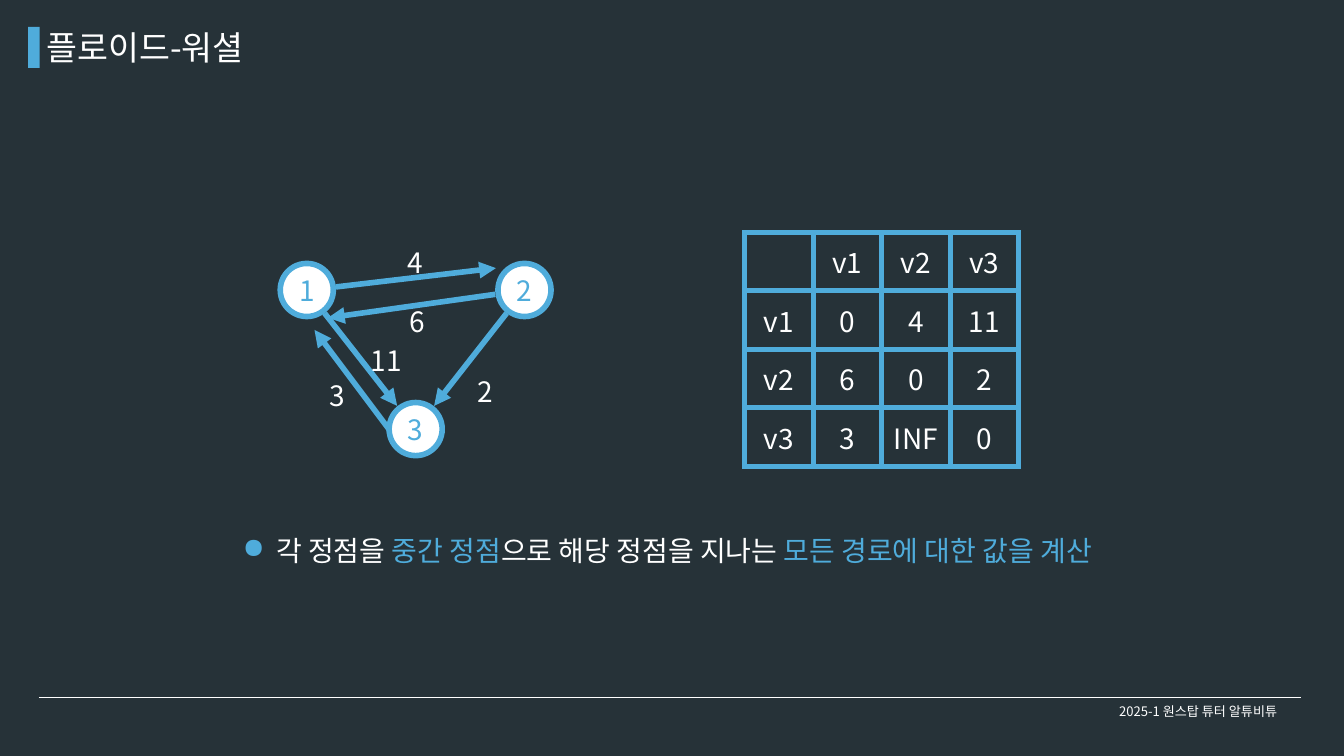
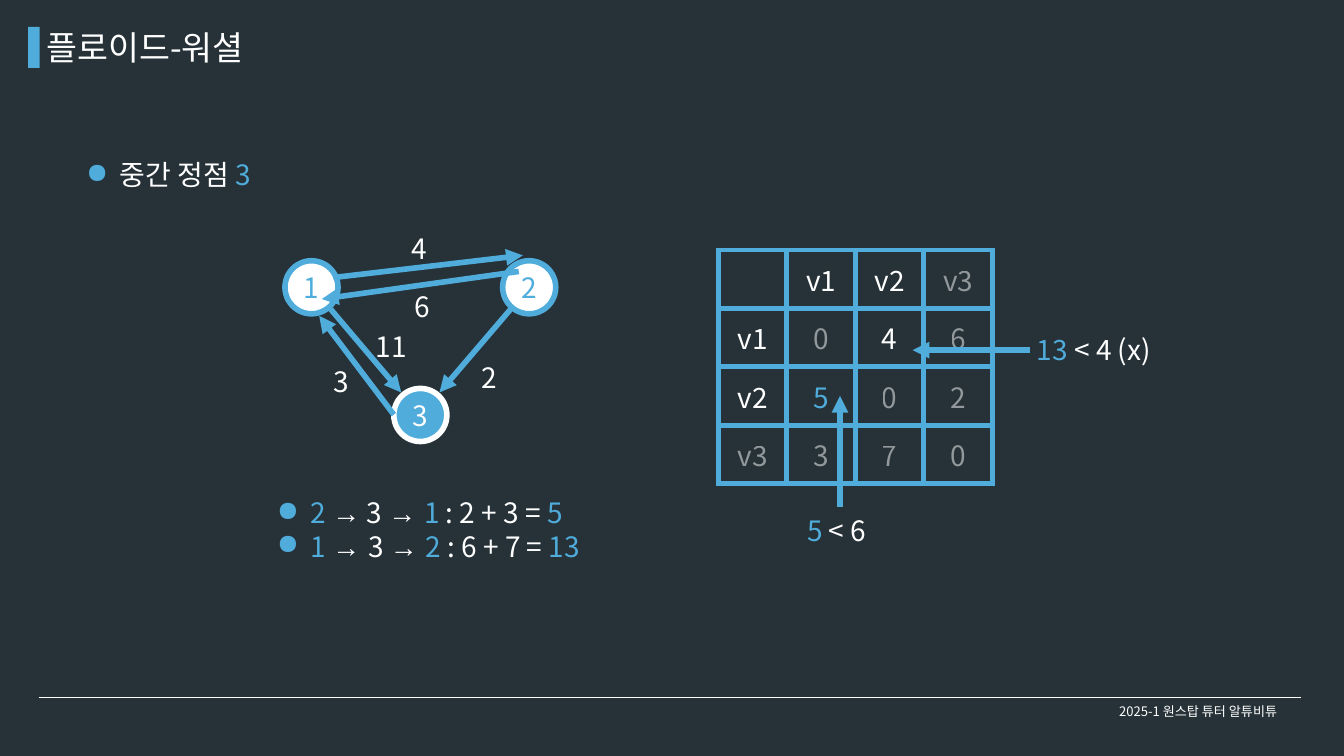
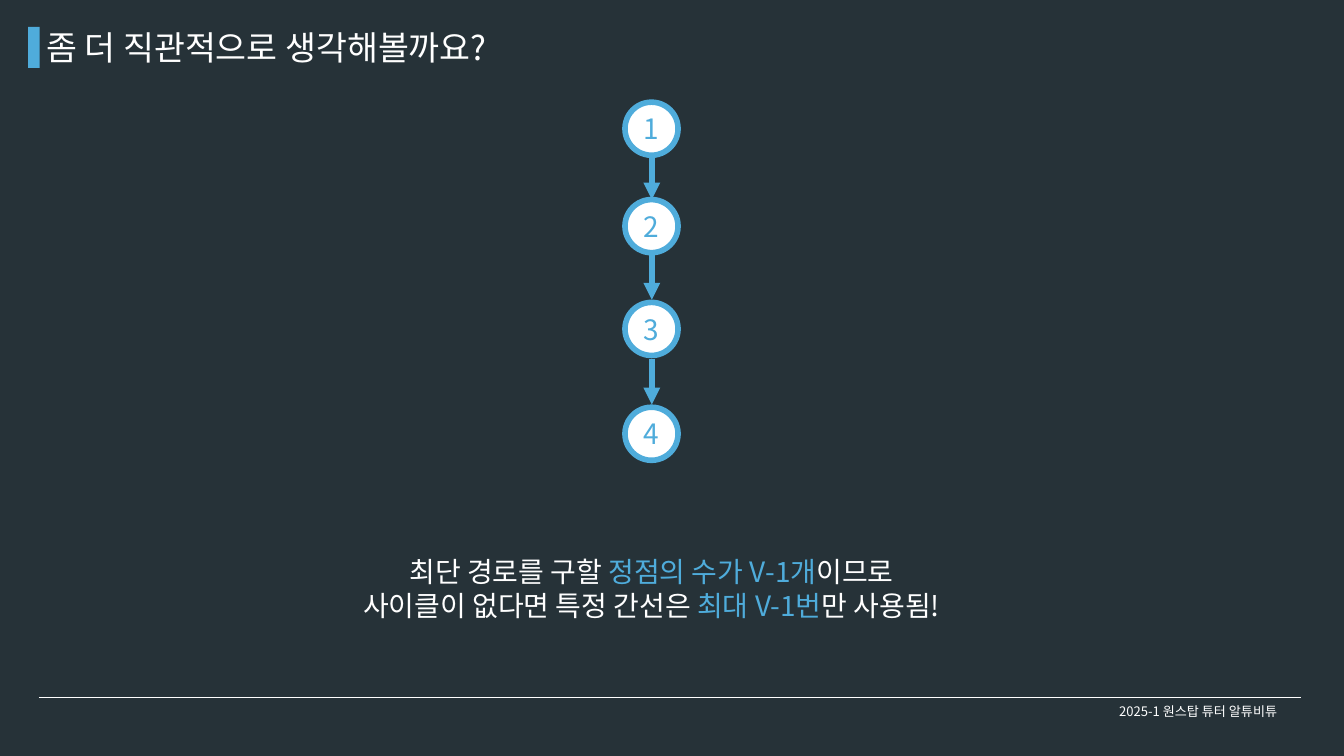
from lxml import etree
from pptx import Presentation
from pptx.dml.color import RGBColor
from pptx.enum.shapes import MSO_CONNECTOR, MSO_SHAPE
from pptx.enum.text import MSO_ANCHOR, MSO_AUTO_SIZE, PP_ALIGN
from pptx.oxml.ns import qn
from pptx.util import Inches, Pt

LEFT, CENTER = PP_ALIGN.LEFT, PP_ALIGN.CENTER
MIDDLE = MSO_ANCHOR.MIDDLE
DARK = RGBColor(0x26, 0x32, 0x38)
BLUE = RGBColor(0x4F, 0xAC, 0xDB)
WHITE = RGBColor(0xFF, 0xFF, 0xFF)
FADED = "faded"  # half-transparent white
FONT, ARROW_FONT = "Noto Sans CJK KR", "Arial"
STROKE = Pt(6)
INSET = Inches(0.05)
NODE_SIZE = 0.79
CELL_WIDTH, CELL_HEIGHT = 1.02, 0.87


def write_text(frame, lines, size=30, align=LEFT, bullet=False):
    """Fill a frame with lines, each a list of (text, colour) parts."""
    frame.margin_left = frame.margin_right = INSET
    frame.margin_top = frame.margin_bottom = INSET
    for index, parts in enumerate(lines):
        paragraph = frame.add_paragraph() if index else frame.paragraphs[0]
        paragraph.alignment = align
        properties = paragraph._p.get_or_add_pPr()
        if bullet:
            properties.set("marL", str(Inches(0.5)))
            properties.set("indent", str(-Inches(0.5)))
            color = etree.SubElement(properties, qn("a:buClr"))
            etree.SubElement(color, qn("a:srgbClr"), val=str(BLUE))
            etree.SubElement(properties, qn("a:buChar"), char="●")
        paragraph.font.size = Pt(size)
        paragraph.font.name = FONT
        etree.SubElement(properties.find(qn("a:defRPr")), qn("a:ea"), typeface=FONT)
        for text, color in parts:
            run = paragraph.add_run()
            run.text = text
            run.font.color.rgb = WHITE if color == FADED else color
            run_properties = run._r.get_or_add_rPr()
            if color == FADED:
                solid = run_properties.find(".//" + qn("a:srgbClr"))
                etree.SubElement(solid, qn("a:alpha"), val="50000")
            if "→" in text:
                run.font.name = ARROW_FONT
                etree.SubElement(run_properties, qn("a:ea"), typeface=ARROW_FONT)


def add_line(slide, start, end, color=BLUE, width=STROKE, arrow=True):
    points = [Inches(value) for value in (*start, *end)]
    connector = slide.shapes.add_connector(MSO_CONNECTOR.STRAIGHT, *points)
    connector.line.color.rgb = color
    connector.line.width = width
    if arrow:
        etree.SubElement(connector.line._get_or_add_ln(), qn("a:tailEnd"), type="triangle")
    etree.SubElement(connector._element.spPr, qn("a:effectLst"))
    return connector


# Each node: label, left, top, highlighted. Each edge: start, end.
# Each label: text, left, top. Each text: box, lines, alignment, bullet.
SLIDES = [
    {
        "title": "플로이드-워셜",
        "table": (11.08, 3.46, ["- v1 v2 v3", "v1 0 4 11", "v2 6 0 2", "v3 3 INF 0"]),
        "bright": None,
        "nodes": [("1", 4.17, 3.92, False), ("2", 7.41, 3.92, False), ("3", 5.79, 5.99, False)],
        "edges": [
            ((5, 4.27), (7.38, 3.99)),
            ((4.83, 4.66), (5.91, 6.04)),
            ((7.54, 4.66), (6.46, 6.04)),
            ((7.37, 4.38), (4.88, 4.73)),
            ((5.79, 6.39), (4.68, 4.91)),
        ],
        "labels": [("4", 6.01, 3.6), ("6", 6.05, 4.48), ("11", 5.47, 5.07),
                   ("3", 4.85, 5.59), ("2", 7.05, 5.53)],
        "texts": [
            ((3.56, 7.89, 13.07, 0.57),
             [[("각 정점을 ", WHITE), ("중간 정점", BLUE), ("으로 해당 정점을 지나는 ", WHITE),
               ("모든 경로에 대한 값을 계산", BLUE)]], LEFT, True),
        ],
    },
    {
        "title": "플로이드-워셜",
        "table": (10.69, 3.72, ["- v1 v2 v3", "v1 0 4 6", "v2 5 0 2", "v3 3 7 0"]),
        "bright": {(0, 1): WHITE, (0, 2): WHITE, (1, 0): WHITE,
                   (1, 2): WHITE, (2, 0): WHITE, (2, 1): BLUE},
        "nodes": [("1", 4.24, 3.88, False), ("2", 7.48, 3.88, False), ("3", 5.86, 5.78, True)],
        "edges": [
            ((12.5, 7.54), (12.5, 5.89)),
            ((4.92, 4.6), (5.97, 5.84)),
            ((7.6, 4.6), (6.54, 5.84)),
            ((5.86, 6.17), (4.75, 4.7)),
            ((15.33, 5.21), (13.58, 5.21)),
            ((4.96, 4.13), (7.78, 3.8)),
            ((7.72, 4.04), (4.79, 4.45)),
        ],
        "labels": [("4", 6.08, 3.39), ("6", 6.12, 4.26), ("11", 5.54, 4.85),
                   ("3", 4.92, 5.38), ("2", 7.12, 5.32)],
        "texts": [
            ((11.96, 7.6, 1.09, 0.57), [[("5 ", BLUE), ("< 6", WHITE)]], LEFT, False),
            ((4.07, 7.33, 5.72, 1.07),
             [[("2 ", BLUE), ("→", WHITE), (" 3 ", WHITE), ("→ ", WHITE), ("1", BLUE),
               (" : 2 + 3 = ", WHITE), ("5", BLUE)],
              [("1 ", BLUE), ("→ ", WHITE), ("3 ", WHITE), ("→ ", WHITE), ("2 ", BLUE),
               (": 6 + 7 = ", WHITE), ("13", BLUE)]], LEFT, True),
            ((1.23, 2.3, 3.15, 0.57), [[("중간 정점 ", WHITE), ("3", BLUE)]], LEFT, True),
            ((15.38, 4.9, 1.95, 0.57), [[("13 ", BLUE), ("< 4 (x)", WHITE)]], LEFT, False),
        ],
    },
    {
        "title": "좀 더 직관적으로 생각해볼까요?",
        "table": None,
        "nodes": [("1", 9.3, 1.52, False), ("2", 9.3, 2.97, False),
                  ("3", 9.3, 4.5, False), ("4", 9.3, 6.06, False)],
        "edges": [
            ((9.7, 2.33), (9.7, 2.97)),
            ((9.7, 3.8), (9.7, 4.46)),
            ((9.7, 5.34), (9.7, 6.02)),
        ],
        "labels": [],
        "texts": [
            ((2.41, 8.21, 14.57, 1.06),
             [[("최단 경로를 구할 ", WHITE), ("정점의 수가 V-1개", BLUE), ("이므로", WHITE)],
              [("사이클이 없다면 특정 간선은 ", WHITE), ("최대 V-1번", BLUE),
               ("만 사용됨!", WHITE)]], CENTER, False),
        ],
    },
]

presentation = Presentation()
presentation.slide_width = Inches(20)
presentation.slide_height = Inches(11.25)
layout = presentation.slide_layouts[5]
layout.background.fill.solid()
layout.background.fill.fore_color.rgb = DARK
slides = [presentation.slides.add_slide(layout) for _ in SLIDES]

# The rule, title band and footer are drawn once and moved to the layout.
rule = add_line(slides[0], (0.58, 10.38), (19.36, 10.38), WHITE, Pt(0.75), arrow=False)
band = slides[0].shapes.add_shape(
    MSO_SHAPE.RECTANGLE, Inches(0.42), Inches(0.4), Inches(0.17), Inches(0.61))
band.shadow.inherit = False
band.fill.solid()
band.fill.fore_color.rgb = BLUE
band.line.fill.background()
footer = slides[0].shapes.add_textbox(Inches(15.88), Inches(10.43), Inches(3.9), Inches(0.32))
footer.text_frame.word_wrap = True
footer.text_frame.vertical_anchor = MIDDLE
write_text(footer.text_frame, [[("2025-1 원스탑 튜터 알튜비튜", WHITE)]], 14, CENTER)
for shape in (rule, band, footer):
    layout.shapes.element.append(shape.element)

for slide, content in zip(slides, SLIDES):
    title = slide.shapes.title
    title.left, title.top = Inches(0.64), Inches(0.35)
    title.width, title.height = Inches(9.4), Inches(0.65)
    title.text_frame.auto_size = MSO_AUTO_SIZE.NONE
    title.text_frame.vertical_anchor = MSO_ANCHOR.TOP
    write_text(title.text_frame, [[(content["title"], WHITE)]], 36)

    if content["table"]:
        left, top, rows = content["table"]
        table = slide.shapes.add_table(
            4, 4, Inches(left), Inches(top),
            Inches(4 * CELL_WIDTH), Inches(4 * CELL_HEIGHT)).table
        table.first_row = table.horz_banding = False
        for row_index, row in enumerate(rows):
            table.rows[row_index].height = Inches(CELL_HEIGHT)
            table.columns[row_index].width = Inches(CELL_WIDTH)
            for column_index, value in enumerate(row.split()):
                cell = table.cell(row_index, column_index)
                cell.fill.background()
                cell.vertical_anchor = MIDDLE
                cell_properties = cell._tc.get_or_add_tcPr()
                for position, side in enumerate(("lnL", "lnR", "lnT", "lnB")):
                    border = etree.Element(qn("a:" + side), w=str(STROKE))
                    fill = etree.SubElement(border, qn("a:solidFill"))
                    etree.SubElement(fill, qn("a:srgbClr"), val=str(BLUE))
                    cell_properties.insert(position, border)
                color = WHITE
                if content["bright"]:
                    color = content["bright"].get((row_index, column_index), FADED)
                if value != "-":
                    write_text(cell.text_frame, [[(value, color)]], align=CENTER)
                    cell.margin_left = cell.margin_right = INSET
                    cell.margin_top = cell.margin_bottom = INSET

    for label, left, top, highlighted in content["nodes"]:
        node = slide.shapes.add_shape(
            MSO_SHAPE.OVAL, Inches(left), Inches(top), Inches(NODE_SIZE), Inches(NODE_SIZE))
        node.shadow.inherit = False
        node.fill.solid()
        node.fill.fore_color.rgb = BLUE if highlighted else WHITE
        node.line.color.rgb = WHITE if highlighted else BLUE
        node.line.width = STROKE
        node.text_frame.word_wrap = False
        node.text_frame.vertical_anchor = MIDDLE
        write_text(node.text_frame, [[(label, WHITE if highlighted else BLUE)]], align=CENTER)

    for start, end in content["edges"]:
        add_line(slide, start, end)

    labels = [((left, top, 0.12 + 0.25 * len(text), 0.57), [[(text, WHITE)]], LEFT, False)
              for text, left, top in content["labels"]]
    for box, lines, align, bullet in labels + content["texts"]:
        textbox = slide.shapes.add_textbox(*[Inches(value) for value in box])
        textbox.text_frame.word_wrap = box[2] > 2
        write_text(textbox.text_frame, lines, align=align, bullet=bullet)

presentation.save("out.pptx")
